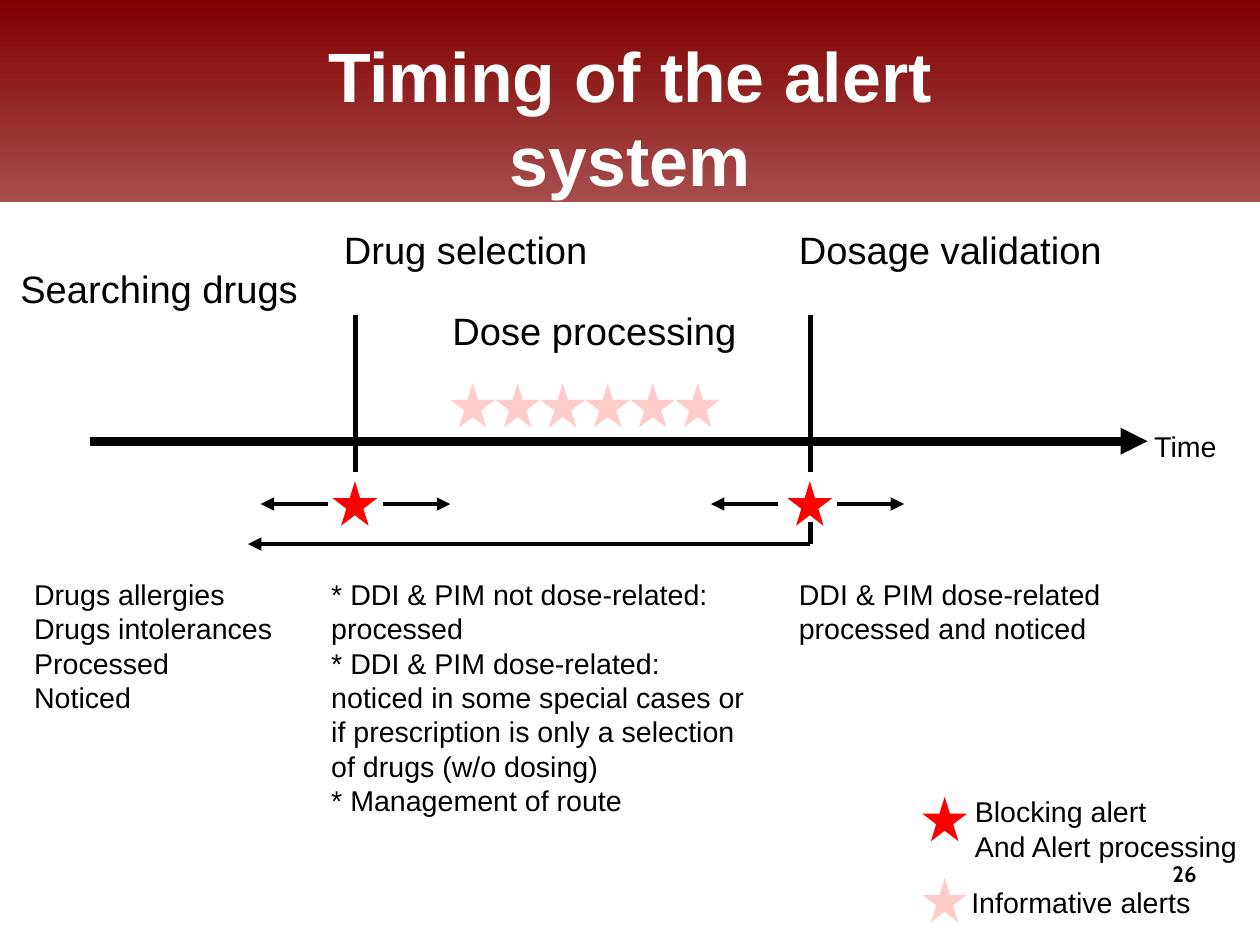
from lxml.etree import SubElement
from pptx import Presentation
from pptx.dml.color import RGBColor
from pptx.enum.shapes import MSO_CONNECTOR, MSO_SHAPE
from pptx.enum.text import MSO_ANCHOR, MSO_AUTO_SIZE, PP_ALIGN
from pptx.oxml.ns import qn
from pptx.util import Inches, Pt

COLORS = {
    "banner": "800000",
    "banner_end": "A64D4D",
    "title": "FFFFFF",
    "ink": "000000",
    "alert": "FF0000",
}
COLORS = {name: RGBColor.from_string(value) for name, value in COLORS.items()}

deck = Presentation()
deck.slide_width, deck.slide_height = Inches(28 / 2.54), Inches(21 / 2.54)
page = deck.slides.add_slide(deck.slide_layouts[6])


def add_text(place, lines, size, wrap=False, color="ink", font="Arial",
             bold=False, align=PP_ALIGN.LEFT, inset=True):
    box = page.shapes.add_textbox(*map(Inches, place))
    frame = box.text_frame
    frame.word_wrap = wrap
    frame.auto_size = MSO_AUTO_SIZE.SHAPE_TO_FIT_TEXT if inset else MSO_AUTO_SIZE.NONE
    frame.margin_left = frame.margin_right = Inches(0.1 if inset else 0)
    frame.margin_top = frame.margin_bottom = Inches(0.05 if inset else 0)
    for number, line in enumerate(lines):
        para = frame.add_paragraph() if number else frame.paragraphs[0]
        para.alignment = align
        span = para.add_run()
        span.text = line
        span.font.name = font
        span.font.size = Pt(size)
        span.font.bold = bold
        span.font.color.rgb = COLORS[color]
    return frame


def add_line(start, end, arrow=False, width=2.83):
    line = page.shapes.add_connector(
        MSO_CONNECTOR.STRAIGHT, *map(Inches, (*start, *end)))
    line.line.width = Pt(width)
    line.line.color.rgb = COLORS["ink"]
    if arrow:
        SubElement(line.line._get_or_add_ln(), qn("a:tailEnd"), type="triangle")
    SubElement(line._element.spPr, qn("a:effectLst"))


banner = page.shapes.add_shape(MSO_SHAPE.RECTANGLE, 0, 0, deck.slide_width, Inches(1.77))
banner.shadow.inherit = False
banner.line.fill.background()
banner.fill.gradient()
banner.fill.gradient_angle = 270
for stop, name in zip(banner.fill.gradient_stops, ("banner", "banner_end")):
    stop.color.rgb = COLORS[name]

title = add_text((1.97, 0.33, 7.09, 1.38), ["Timing of the alert system"], 44,
                 wrap=True, color="title", bold=True, align=PP_ALIGN.CENTER, inset=False)
title.vertical_anchor = MSO_ANCHOR.MIDDLE

add_line((0.79, 3.86), (10.04, 3.86), arrow=True, width=5.67)
add_text((10, 3.7, 0.77, 0.38), ["Time"], 18)

stages = [
    ("Searching drugs", 0.08, 2.27, 2.63),
    ("Drug selection", 2.91, 1.93, 2.33),
    ("Dosage validation", 6.89, 1.93, 2.85),
    ("Dose processing", 3.86, 2.64, 2.68),
]
for label, left, top, width in stages:
    add_text((left, top, width, 0.47), [label], 24)

details = [
    ((0.2, 5, 2.31, 1.22), False,
     ["Drugs allergies", "Drugs intolerances", "Processed", "Noticed"]),
    ((2.8, 5, 3.94, 2.06), True,
     ["* DDI & PIM not dose-related: processed",
      "* DDI & PIM dose-related: noticed in some special cases or if "
      "prescription is only a selection of drugs (w/o dosing)",
      "* Management of route"]),
    ((6.89, 5, 3.35, 0.79), True,
     ["DDI & PIM dose-related", "processed and noticed"]),
]
for place, wrap, lines in details:
    add_text(place, lines, 18, wrap=wrap)

for milestone, left_gap, right_gap in ((3.11, 0.24, 0.24), (7.09, 0.28, 0.23)):
    add_line((milestone, 2.76), (milestone, 4.13))
    for start, reach in ((milestone - left_gap, -0.59), (milestone + right_gap, 0.59)):
        add_line((start, 4.41), (start + reach, 4.41), arrow=True)

add_line((7.09, 4.57), (7.09, 4.76))
add_line((7.09, 4.76), (2.17, 4.76), arrow=True)

blocking_stars = [(2.91, 4.21), (6.89, 4.21), (8.07, 6.97)]
informative_stars = [(3.94 + 1.97 * step / 5, 3.35) for step in range(6)] + [(8.07, 7.68)]
for places, opacity in ((blocking_stars, 100), (informative_stars, 20)):
    for left, top in places:
        star = page.shapes.add_shape(
            MSO_SHAPE.STAR_5_POINT, *map(Inches, (left, top, 0.39, 0.39)))
        star.shadow.inherit = False
        star.line.fill.background()
        star.fill.solid()
        star.fill.fore_color.rgb = COLORS["alert"]
        if opacity < 100:
            shade = star._element.spPr.find(qn("a:solidFill")).find(qn("a:srgbClr"))
            SubElement(shade, qn("a:alpha"), val=str(opacity * 1000))

add_text((8.43, 6.9, 2.51, 0.66), ["Blocking alert", "And Alert processing"], 18)
add_text((8.4, 7.69, 2.14, 0.38), ["Informative alerts"], 18)
add_text((7.9, 7.53, 2.57, 0.57), ["26"], 14, wrap=True, font="Cabin", bold=True,
         align=PP_ALIGN.RIGHT, inset=False)

deck.save("out.pptx")
